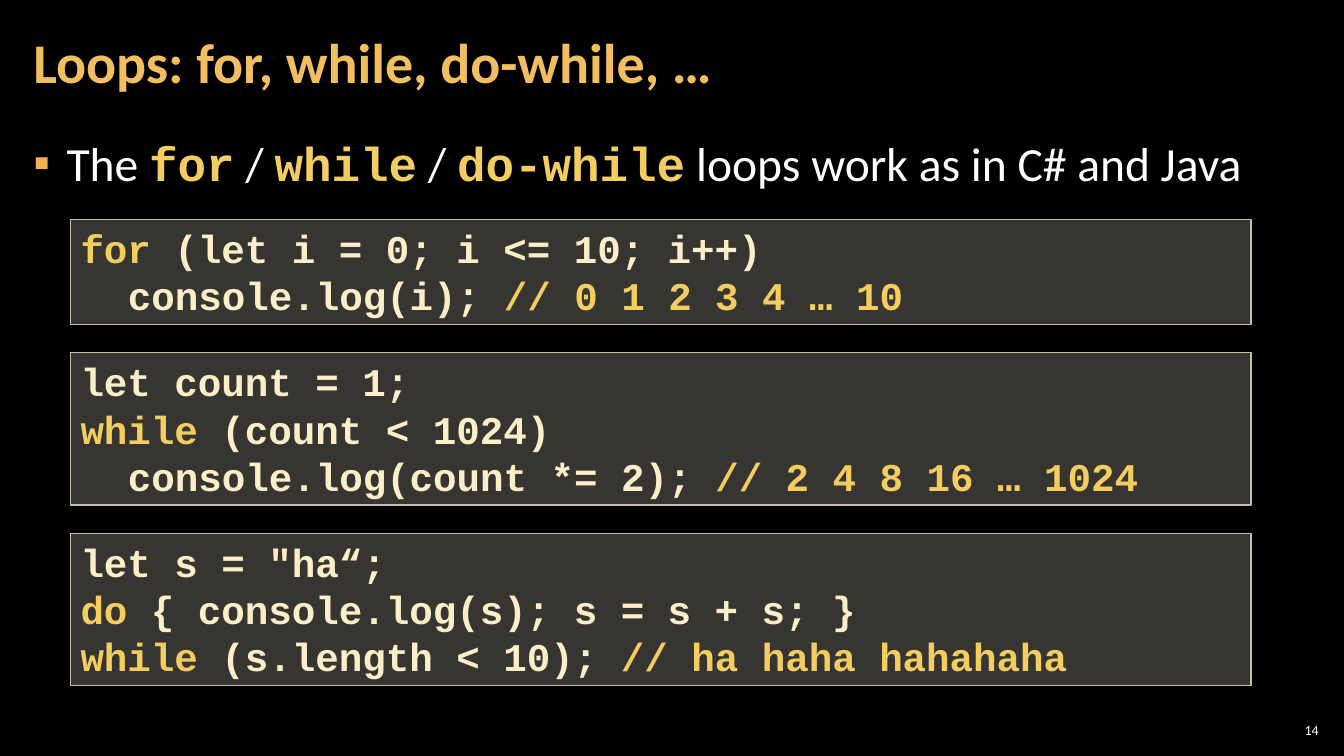
from lxml import etree
from pptx import Presentation
from pptx.dml.color import RGBColor
from pptx.enum.shapes import MSO_SHAPE
from pptx.enum.text import MSO_ANCHOR, MSO_AUTO_SIZE, PP_ALIGN
from pptx.oxml.ns import qn
from pptx.util import Inches, Pt

RECT = MSO_SHAPE.RECTANGLE
TOP, MIDDLE = MSO_ANCHOR.TOP, MSO_ANCHOR.MIDDLE
LEFT, RIGHT = PP_ALIGN.LEFT, PP_ALIGN.RIGHT
NO_FIT = MSO_AUTO_SIZE.NONE

THEME = {
    "back": "000000", "panel": "D9D5C7", "edge": "C7BFAC", "bullet": "F2B254",
    "title": {"name": "Calibri", "size": 40, "bold": True, "color": "F3BE60"},
    "body": {"name": "Calibri", "size": 34, "bold": False, "color": "FFFFFF"},
    "word": {"name": "Courier New", "size": 34, "bold": True, "color": "F3CD60"},
    "code": {"name": "Courier New", "size": 28, "bold": True, "color": "FBEEC9"},
    "mark": {"name": "Courier New", "size": 28, "bold": True, "color": "F3CD60"},
    "page": {"name": "Calibri", "size": 10, "bold": False, "color": "FFFFFF"},
}


def write(para, text, plain, accent=None):
    """Add runs to a paragraph; parts between tildes take the accent style."""
    for i, part in enumerate(text.split("~")):
        if part:
            run = para.add_run()
            run.text = part
            style = THEME[accent if i % 2 else plain]
            values = {**style, "size": Pt(style["size"])}
            run.font.color.rgb = RGBColor.from_string(values.pop("color"))
            for key, value in values.items():
                setattr(run.font, key, value)


def setup(shape, box, anchor, side, edge=0.04):
    """Place a shape and format its text frame."""
    for key, value in zip(("left", "top", "width", "height"), box):
        setattr(shape, key, Inches(value))
    frame = shape.text_frame
    values = {
        "word_wrap": True, "auto_size": NO_FIT, "vertical_anchor": anchor,
        "margin_left": Inches(side), "margin_right": Inches(side),
        "margin_top": Inches(edge), "margin_bottom": Inches(edge),
    }
    for key, value in values.items():
        setattr(frame, key, value)
    return frame


deck = Presentation()
deck.slide_width, deck.slide_height = Inches(13.33), Inches(7.5)
slide = deck.slides.add_slide(deck.slide_layouts[1])
slide.background.fill.solid()
slide.background.fill.fore_color.rgb = RGBColor.from_string(THEME["back"])

# Title
title = setup(slide.shapes.title, (0.21, 0.04, 10.47, 1.21), MIDDLE, 0.12)
para = title.paragraphs[0]
para.alignment, para.line_spacing = LEFT, 0.9
write(para, "Loops: for, while, do-while, …", "title")

# Bullet line
body = setup(slide.placeholders[1], (0.21, 1.26, 12.91, 6.09), TOP, 0.12)
para = body.paragraphs[0]
para.alignment, para.line_spacing = LEFT, 1.05
para.space_before = para.space_after = Pt(6)
write(para, "The ~for~ / ~while~ / ~do-while~ loops work as in C# and Java",
      "body", "word")
props = para._p.get_or_add_pPr()
props.set("marL", str(Inches(0.33)))
props.set("indent", str(-Inches(0.33)))
tint = etree.SubElement(props, qn("a:buClr"))
etree.SubElement(tint, qn("a:srgbClr"), val=THEME["bullet"])
etree.SubElement(props, qn("a:buChar"), char="▪")

# Code panels: a tab at the start of a line means one indent step
PANELS = [
    ["~for~ (let i = 0; i <= 10; i++)",
     "\tconsole.log(i); ~// 0 1 2 3 4 … 10"],
    ["let count = 1;",
     "~while~ (count < 1024)",
     "\tconsole.log(count *= 2);~ // 2 4 8 16 … 1024"],
    ['let s = "ha“;',
     "~do~ { console.log(s); s = s + s; }",
     "~while~ (s.length < 10); ~// ha haha hahahaha"],
]
STEP = 0.47  # line height, and the width of two code characters
GAP = 0.28
top = 2.18
for lines in PANELS:
    tall = 0.1 + STEP * len(lines)
    panel = slide.shapes.add_shape(RECT, 0, 0, 0, 0)
    frame = setup(panel, (0.7, top, 11.71, tall), TOP, 0.1, 0.05)
    panel.shadow.inherit = False
    panel.fill.solid()
    panel.fill.fore_color.rgb = RGBColor.from_string(THEME["panel"])
    shade = panel._element.spPr.find(qn("a:solidFill"))[0]
    etree.SubElement(shade, qn("a:alpha"), val="25000")
    panel.line.color.rgb = RGBColor.from_string(THEME["edge"])
    panel.line.width = Pt(1)
    for i, line in enumerate(lines):
        para = frame.add_paragraph() if i else frame.paragraphs[0]
        para.alignment = LEFT
        if line.startswith("\t"):
            para._p.get_or_add_pPr().set("marL", str(Inches(STEP)))
        write(para, line.lstrip("\t"), "code", "mark")
    top += tall + GAP

# Page number
page = setup(slide.shapes.add_textbox(0, 0, 0, 0),
             (12.65, 7.14, 0.47, 0.21), MIDDLE, 0.04)
page.paragraphs[0].alignment = RIGHT
write(page.paragraphs[0], "14", "page")

deck.save("out.pptx")
